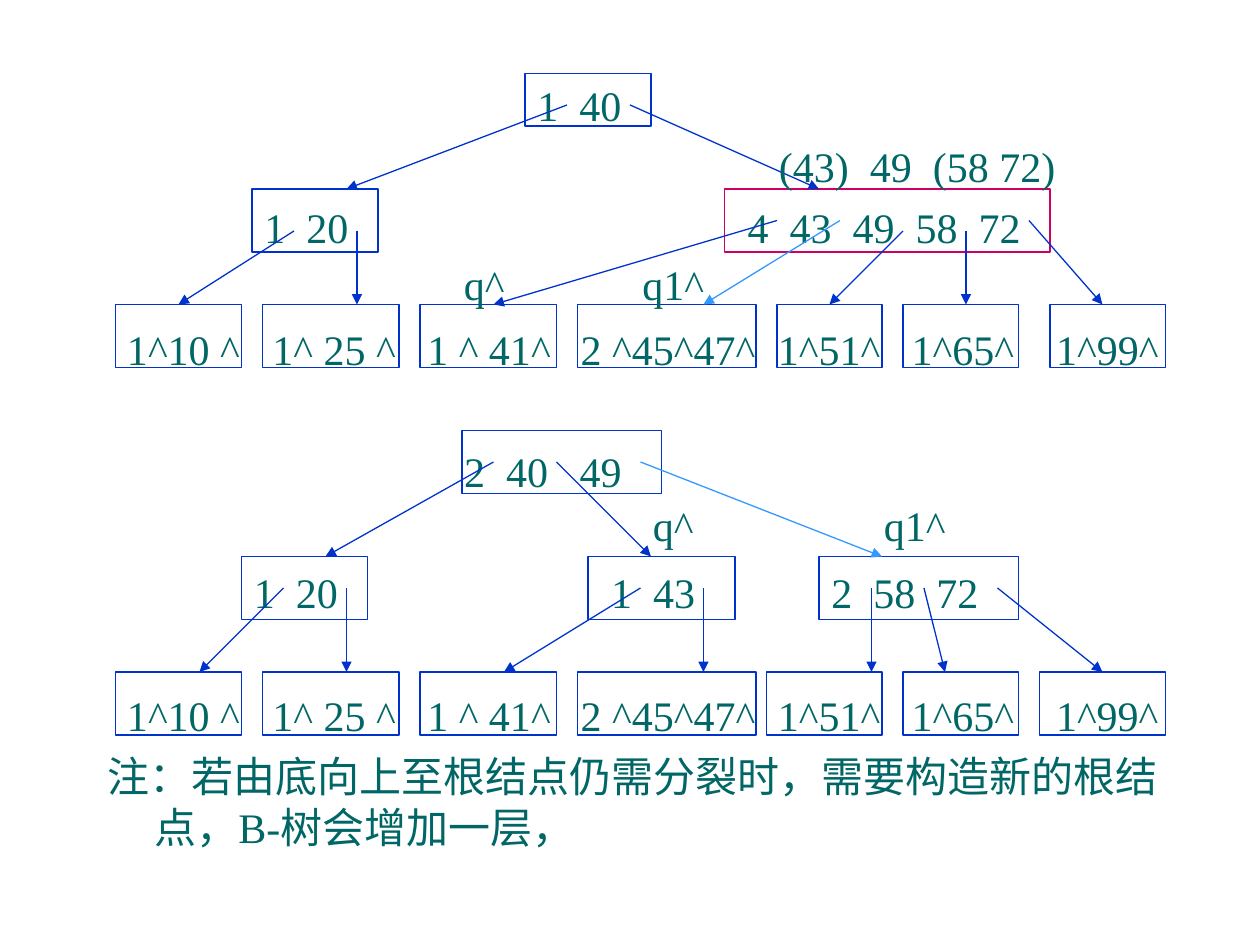
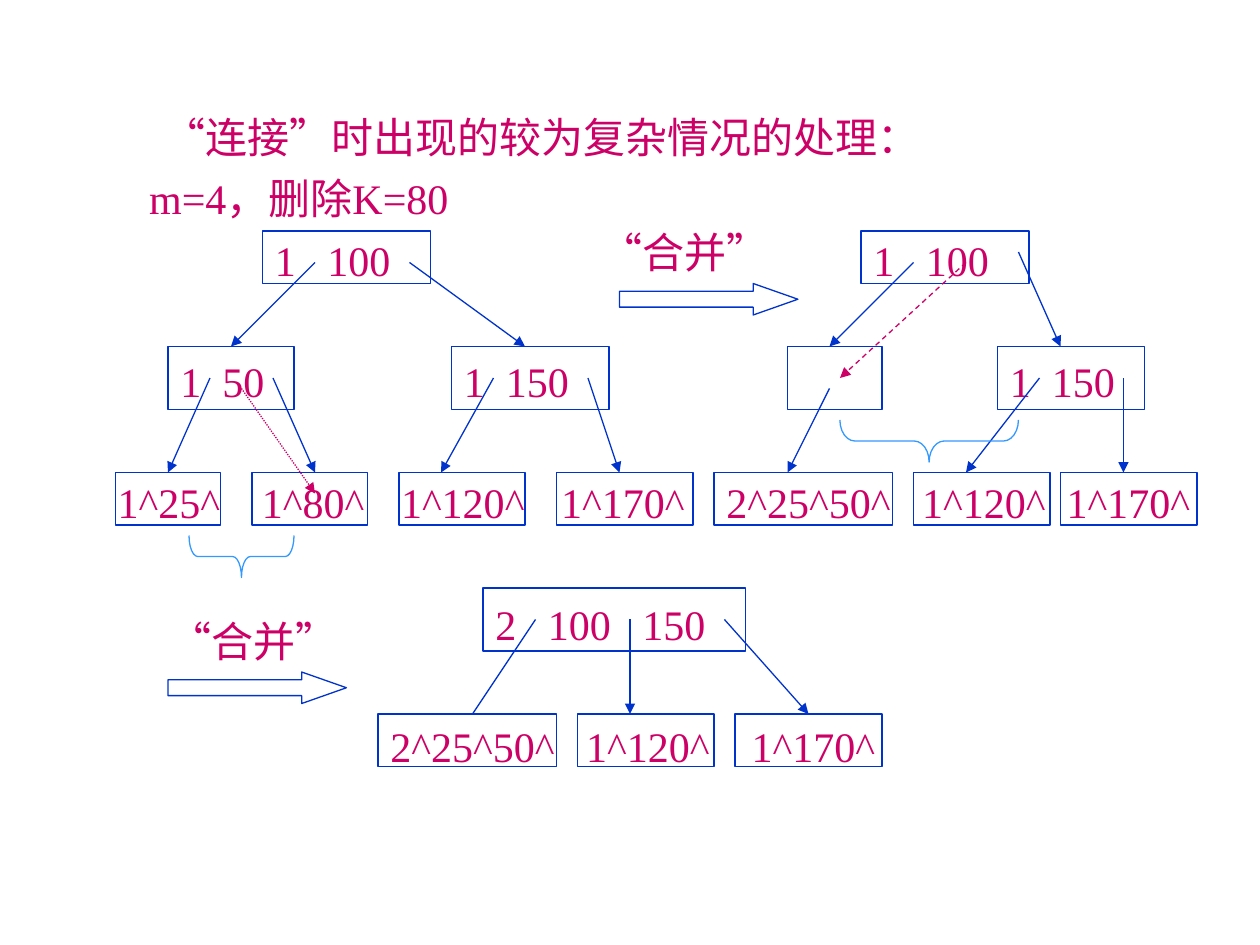
"""Build two slides showing B-tree node splitting and merging."""
from lxml import etree
from pptx import Presentation
from pptx import util as u
from pptx.dml.color import RGBColor
from pptx.enum import dml, shapes, text
from pptx.oxml import ns

BLUE = RGBColor(0x00, 0x33, 0xCC)
SKY = RGBColor(0x33, 0x99, 0xFF)
MAGENTA = RGBColor(0xCC, 0x00, 0x66)
TEAL = RGBColor(0x00, 0x66, 0x66)
FONT = "Times New Roman"
SOLID = dml.MSO_LINE.SOLID
DOTTED = dml.MSO_LINE.ROUND_DOT
DASHED = dml.MSO_LINE.DASH


def grid(*steps):
    """Turn steps of a twelfth of an inch into lengths."""
    return [u.Cm(step * 2.54 / 12) for step in steps]


def write(frame, keys, color, left=1.2, top=0.6, gaps=(), hang=0):
    """Write one left-aligned line of keys, parted by widened spaces."""
    frame.word_wrap = True
    frame.auto_size = text.MSO_AUTO_SIZE.NONE
    frame.vertical_anchor = text.MSO_ANCHOR.TOP
    frame.margin_left, frame.margin_top = grid(left, top)
    frame.margin_right = frame.margin_bottom = 0
    para = frame.paragraphs[0]
    para.alignment = text.PP_ALIGN.LEFT
    para.space_before = u.Pt(0)
    props = para._p.get_or_add_pPr()
    props.set("marL", str(grid(hang)[0]))
    props.set("indent", str(grid(-hang)[0]))
    etree.SubElement(props, ns.qn("a:buNone"))
    pieces = [(keys[0], 0)]
    for gap, key in zip(gaps, keys[1:]):
        pieces += [(" ", (gap - 1) * 600), (key, 0)]
    for piece, spacing in pieces:
        span = para.add_run()
        span.text = piece
        span.font.name = FONT
        span.font.size = u.Pt(24)
        span.font.bold = False
        span.font.color.rgb = color
        if spacing:
            span.font._element.set("spc", str(spacing))


deck = Presentation()
deck.slide_width, deck.slide_height = grid(120, 90)
split_page = deck.slides.add_slide(deck.slide_layouts[1])
merge_page = deck.slides.add_slide(deck.slide_layouts[1])

# Each row: top, height, label inset, nodes of (left, width, keys, inset, gaps)
split_rows = [
    (7, 5, 0.56, [(50, 12, ["1", "40"], 1.2, [2])]),
    (18, 6, 1.18, [(24, 12, ["1", "20"], 1.2, [2]),
                   (69, 31, ["4", "43", "49", "58", "72"], 2.2, [2, 2, 2, 2])]),
    (29, 6, 1.8, [(11, 12, ["1^10 ^"], 1.1, []), (25, 13, ["1^ 25 ^"], 0.95, []),
                  (40, 13, ["1 ^ 41^"], 0.7, []), (55, 17, ["2 ^45^47^"], 0.3, []),
                  (74, 10, ["1^51^"], 0.08, []), (86, 11, ["1^65^"], 0.83, []),
                  (100, 11, ["1^99^"], 0.58, [])]),
    (41, 6, 1.4, [(44, 19, ["2", "40", "49"], 0.2, [2, 3])]),
    (53, 6, 1, [(23, 12, ["1", "20"], 1.2, [2]), (56, 14, ["1", "43"], 2.2, [2]),
                (78, 19, ["2", "58", "72"], 1.2, [2, 2])]),
    (64, 6, 1.66, [(11, 12, ["1^10 ^"], 1.1, []), (25, 13, ["1^ 25 ^"], 0.95, []),
                   (40, 13, ["1 ^ 41^"], 0.7, []), (55, 17, ["2 ^45^47^"], 0.3, []),
                   (73, 11, ["1^51^"], 1.08, []), (86, 11, ["1^65^"], 0.83, []),
                   (99, 12, ["1^99^"], 1.58, [])]),
]
merge_rows = [
    (22, 5, 0.3, [(25, 16, ["1", "100"], 1.2, [3]), (82, 16, ["1", "100"], 1.2, [3])]),
    (33, 6, 0.85, [(16, 12, ["1", "50"], 1.2, [2]), (43, 15, ["1", "150"], 1.2, [2]),
                   (75, 9, [], 0, []), (95, 14, ["1", "150"], 1.2, [2])]),
    (45, 5, 0.42, [(11, 10, ["1^25^"], 0.2, []), (24, 11, ["1^80^"], 0.95, []),
                   (38, 12, ["1^120^"], 0.2, []), (53, 13, ["1^170^"], 0.45, []),
                   (68, 17, ["2^25^50^"], 1.2, []), (87, 13, ["1^120^"], 0.83, []),
                   (101, 13, ["1^170^"], 0.58, [])]),
    (56, 6, 1.05, [(46, 25, ["2", "100", "150"], 1.2, [3, 3])]),
    (68, 5, 0.6, [(36, 17, ["2^25^50^"], 1.2, []), (55, 13, ["1^120^"], 0.83, []),
                  (70, 14, ["1^170^"], 1.58, [])]),
]
split_links = [
    (54, 10, 33, 18), (60, 10, 78, 18), (28, 22, 17, 29), (34, 22, 34, 29),
    (74, 21, 47, 29), (98, 21, 105, 29), (92, 22, 92, 29), (86, 22, 79, 29),
    (47, 44, 31, 53), (53, 44, 62, 53), (27, 56, 19, 64), (33, 56, 33, 64),
    (61, 56, 48, 64), (67, 56, 67, 64), (88, 56, 90, 64), (95, 56, 105, 64),
    (83, 56, 83, 64),
]
merge_links = [
    (30, 25, 22, 33), (39, 25, 50, 33), (20, 36, 16, 45), (26, 36, 30, 45),
    (47, 36, 42, 45), (56, 36, 59, 45), (97, 24, 101, 33), (99, 36, 92, 45),
    (107, 36, 107, 45), (87, 25, 79, 33), (79, 37, 75, 45),
    (60, 59, 60, 68), (69, 59, 77, 68),
]
groups = [
    (split_page, split_links, BLUE, SOLID, True),
    (split_page, [(80, 21, 67, 29), (61, 44, 84, 53)], SKY, SOLID, True),
    (merge_page, merge_links, BLUE, SOLID, True),
    (merge_page, [(51, 59, 45, 68)], BLUE, SOLID, False),
    (merge_page, [(23, 37, 30, 47)], MAGENTA, DOTTED, True),
    (merge_page, [(92, 25, 80, 36)], MAGENTA, DASHED, True),
]

for page, rows, ink in [(split_page, split_rows, TEAL), (merge_page, merge_rows, MAGENTA)]:
    for top, height, drop, nodes in rows:
        for left, width, keys, inset, gaps in nodes:
            node = page.shapes.add_shape(shapes.MSO_SHAPE.RECTANGLE,
                                         *grid(left, top, width, height))
            node.shadow.inherit = False
            node.fill.background()
            node.line.width = u.Pt(0.75)
            node.line.color.rgb = MAGENTA if len(keys) == 5 else BLUE
            if keys:
                write(node.text_frame, keys, ink, inset, drop, gaps)

for page, links, color, dash, has_head in groups:
    for ends in links:
        link = page.shapes.add_connector(shapes.MSO_CONNECTOR.STRAIGHT, *grid(*ends))
        link.line.color.rgb = color
        link.line.width = u.Pt(0.75)
        link.line.dash_style = dash
        if has_head:
            etree.SubElement(link.line._get_or_add_ln(), ns.qn("a:tailEnd"), type="triangle")
        etree.SubElement(link._element.spPr, ns.qn("a:effectLst"))

ARROW, BRACE = shapes.MSO_SHAPE.RIGHT_ARROW, shapes.MSO_SHAPE.LEFT_BRACE
for kind, left, top, width, height, color, turn in [
    (ARROW, 59, 27, 17, 3, BLUE, 0), (ARROW, 16, 64, 17, 3, BLUE, 0),
    (BRACE, 21, 48, 4, 10, SKY, 270), (BRACE, 86.5, 33.5, 4, 17, SKY, 270),
]:
    mark = merge_page.shapes.add_shape(kind, *grid(left, top, width, height))
    mark.shadow.inherit = False
    mark.fill.background()
    mark.line.color.rgb = color
    mark.line.width = u.Pt(0.75)
    mark.rotation = turn
    if kind == ARROW:
        mark.adjustments[1] = 1.42
    else:
        mark.adjustments[0] = height / 12 / width

for page, left, top, width, keys, ink, gaps in [
    (split_page, 73, 12.8, 30, ["(43)", "49", "(58 72)"], TEAL, [2, 2]),
    (split_page, 43, 24, 10, ["q^"], TEAL, []),
    (split_page, 60, 24, 15, ["q1^"], TEAL, []),
    (split_page, 61, 47, 10, ["q^"], TEAL, []),
    (split_page, 83, 47, 10, ["q1^"], TEAL, []),
    (merge_page, 56, 21, 25, ["“合并”"], MAGENTA, []),
    (merge_page, 15, 58, 21, ["“合并”"], MAGENTA, []),
]:
    box = page.shapes.add_textbox(*grid(left, top, width, 6))
    write(box.text_frame, keys, ink, gaps=gaps)

unused_title = split_page.shapes.title._element
unused_title.getparent().remove(unused_title)
for holder, area, line, ink, hang in [
    (split_page.placeholders[1], (9, 70.9, 103, 12),
     "注：若由底向上至根结点仍需分裂时，需要构造新的根结点，B-树会增加一层，", TEAL, 4.5),
    (merge_page.shapes.title, (14.4, 10, 85, 6),
     "“连接”时出现的较为复杂情况的处理：", MAGENTA, 0),
    (merge_page.placeholders[1], (13, 15.8, 40, 5.5), "m=4，删除K=80", MAGENTA, 0),
]:
    holder.left, holder.top, holder.width, holder.height = grid(*area)
    write(holder.text_frame, [line], ink, hang=hang)

deck.save("out.pptx")
